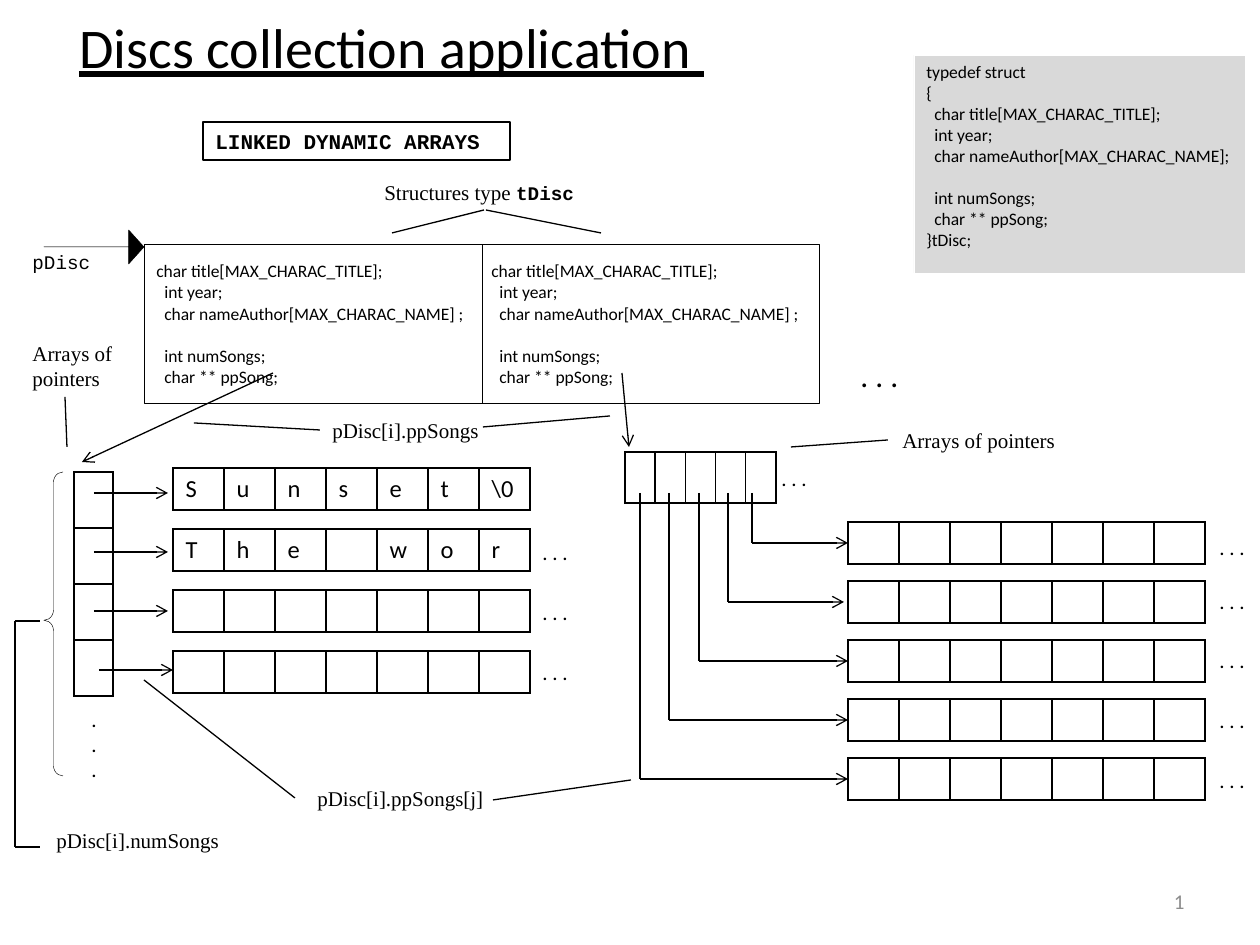
from dataclasses import dataclass

from lxml import etree
from pptx import Presentation
from pptx.dml.color import RGBColor
from pptx.enum.shapes import MSO_CONNECTOR, MSO_SHAPE
from pptx.enum.text import MSO_ANCHOR, PP_ALIGN
from pptx.oxml.ns import qn
from pptx.util import Pt

PX = 914400 // 126
STRAIGHT = MSO_CONNECTOR.STRAIGHT
RECT, ARROW, BRACE = MSO_SHAPE.RECTANGLE, MSO_SHAPE.RIGHT_ARROW, MSO_SHAPE.LEFT_BRACE
TOP, MIDDLE = MSO_ANCHOR.TOP, MSO_ANCHOR.MIDDLE
LEFT, RIGHT = PP_ALIGN.LEFT, PP_ALIGN.RIGHT


@dataclass(frozen=True)
class Theme:
    ink: str = "000000"
    paper: str = "FFFFFF"
    panel: str = "D9D9D9"
    muted: str = "8C8C8C"
    sans: str = "Calibri"
    serif: str = "Times New Roman"
    mono: str = "Courier New"
    title: int = 32
    dots: int = 18
    cell: int = 14
    label: int = 12
    code: int = 11
    struct: int = 10
    hair: float = 0.25
    thin: float = 0.75
    grid: float = 1


T = Theme()
FIELDS = ["char title[MAX_CHARAC_TITLE];", "int year;",
          "char nameAuthor[MAX_CHARAC_NAME]", "int numSongs;", "char ** ppSong;"]


def rgb(value):
    return RGBColor.from_string(value)


def style(font, face, size, color=T.ink, bold=None):
    font.name, font.size, font.bold = face, Pt(size), bold
    font.color.rgb = rgb(color)


def write(tf, lines, face, size, color=T.ink, bold=None, align=LEFT, anchor=TOP):
    tf.word_wrap, tf.vertical_anchor = True, anchor
    for i, line in enumerate(lines):
        p = tf.add_paragraph() if i else tf.paragraphs[0]
        p.text, p.alignment = line, align
        style(p.font, face, size, color, bold)


def label(s, x, y, w, h, lines, face=T.serif, size=T.label, **options):
    tf = s.shapes.add_textbox(x * PX, y * PX, w * PX, h * PX).text_frame
    write(tf, lines, face, size, **options)
    return tf


def dots(s, x, y):
    label(s, x, y, 53, 38, [". . ."], T.sans)


def shape(s, kind, x, y, w, h, fill=None, line=T.ink, width=T.hair):
    sp = s.shapes.add_shape(kind, x * PX, y * PX, w * PX, h * PX)
    sp.shadow.inherit = False
    if fill:
        sp.fill.solid()
        sp.fill.fore_color.rgb = rgb(fill)
    else:
        sp.fill.background()
    sp.line.color.rgb, sp.line.width = rgb(line), Pt(width)
    return sp


def line(s, x1, y1, x2, y2, arrow=False):
    c = s.shapes.add_connector(STRAIGHT, x1 * PX, y1 * PX, x2 * PX, y2 * PX)
    c.line.color.rgb, c.line.width = rgb(T.ink), Pt(T.thin)
    if arrow:
        etree.SubElement(c.line._get_or_add_ln(), qn("a:tailEnd"), type="arrow")
    etree.SubElement(c._element.spPr, qn("a:effectLst"))


def border(cell):
    tcPr = cell._tc.get_or_add_tcPr()
    for i, side in enumerate(("lnL", "lnR", "lnT", "lnB")):
        ln = etree.Element(qn("a:" + side), w=str(Pt(T.grid)))
        fill = etree.SubElement(ln, qn("a:solidFill"))
        etree.SubElement(fill, qn("a:srgbClr"), val=T.ink)
        tcPr.insert(i, ln)


def grid(s, x, y, rows, cols, w, h, letters=""):
    table = s.shapes.add_table(rows, cols, x * PX, y * PX, cols * w * PX, rows * h * PX).table
    for col in table.columns:
        col.width = w * PX
    for row in table.rows:
        row.height = h * PX
    for i, cell in enumerate(table.iter_cells()):
        cell.fill.solid()
        cell.fill.fore_color.rgb = rgb(T.paper)
        cell.margin_top = cell.margin_bottom = 0
        cell.vertical_anchor = MIDDLE
        p = cell.text_frame.paragraphs[0]
        if i < len(letters) and letters[i].strip():
            p.text = letters[i]
        style(p.font, T.sans, T.cell)
        border(cell)


def char_array(s, x, y, letters=""):
    grid(s, x, y, 1, 7, 51, 42, letters)


def struct_box(s, x, y, w, h, lines, fill, edge, anchor, indented):
    sp = shape(s, RECT, x, y, w, h, fill, edge)
    tf = sp.text_frame
    tf.margin_right = 0
    write(tf, lines, T.sans, T.struct, anchor=anchor)
    for p in tf.paragraphs:
        if p.text in indented:
            p._p.get_or_add_pPr().set("marL", str(8 * PX))
        if p.text == "int numSongs;":
            p.space_before = Pt(T.struct * 1.2)


def heading(s, x, y):
    tf = label(s, x, y, 1134, 80, ["Discs collection application "], T.sans, T.title)
    tf.paragraphs[0].font.underline = True
    box = shape(s, RECT, x + 136, y + 116, 307, 38, width=T.thin)
    write(box.text_frame, ["LINKED DYNAMIC ARRAYS"], T.mono, T.label, bold=True)


def type_definition(s, x, y):
    fields = [f + ";" if f.endswith("NAME]") else f for f in FIELDS]
    lines = ["typedef struct", "{", *fields, "}tDisc;"]
    struct_box(s, x, y, 331, 218, lines, T.panel, T.paper, TOP, fields)


def disc_array(s, x, y):
    fields = [f + " ;" if f.endswith("NAME]") else f for f in FIELDS]
    for dx, w in ((335, 340), (0, 338)):
        struct_box(s, x + dx, y, w, 159, fields, T.paper, T.ink, MIDDLE, fields[1:])
    pointer = shape(s, ARROW, x - 100, y - 14, 100, 34, T.ink)
    pointer.adjustments[0], pointer.adjustments[1] = 0, 0.449
    label(s, x - 124, y, 95, 37, ["pDisc"], T.mono, T.code)
    p = label(s, x + 228, y - 71, 229, 38, [""]).paragraphs[0]
    for text, face, size, bold in (("Structures type ", T.serif, T.label, None),
                                   ("tDisc", T.mono, T.code, True)):
        r = p.add_run()
        r.text = text
        style(r.font, face, size, bold=bold)
    line(s, x + 340, y - 34, x + 248, y - 11)
    line(s, x + 342, y - 34, x + 457, y - 11)
    label(s, x + 704, y + 106, 89, 50, [". . ."], T.sans, T.dots)


def first_disc_songs(s, x, y):
    grid(s, x, y, 4, 1, 39, 56)
    for i, title in enumerate((["S", "u", "n", "s", "e", "t", "\\0"], "The wor", "", "")):
        char_array(s, x + 99, y - 4 + 61 * i, title)
        shift = 5 if i == 3 else 0
        line(s, x + 20 + shift, y + 21 + 59 * i, x + 94 + shift, y + 21 + 59 * i, True)
        if i:
            dots(s, x + 456, y + 1 + 60 * i)
    label(s, x + 5, y + 228, 45, 90, ["."] * 3, T.sans)
    brace = shape(s, BRACE, x - 30, y, 19, 304)
    brace.adjustments[0], brace.adjustments[1] = 0.541, 0.488
    line(s, x - 59, y + 375, x - 59, y + 149)
    for dy in (149, 375):
        line(s, x - 59, y + dy, x - 34, y + dy)
    label(s, x - 30, y + 349, 212, 38, ["pDisc[i].numSongs"])


def second_disc_songs(s, x, y):
    grid(s, x, y, 1, 5, 29, 51)
    dots(s, x + 144, y + 7)
    starts, dot_tops = (127, 103, 74, 44, 15), (76, 130, 189, 249, 309)
    for i, (dx, dot_top) in enumerate(zip(starts, dot_tops)):
        char_array(s, x + 223, y + 70 + 59 * i)
        turn = y + 91 + 59 * i
        line(s, x + dx, y + 41, x + dx, turn)
        line(s, x + dx, turn, x + (219 if i == 1 else 223), turn, True)
        dots(s, x + 582, y + dot_top)


def annotations(s, x, y):
    label(s, x + 20, y + 334, 123, 63, ["Arrays of", "pointers"])
    label(s, x + 890, y + 421, 197, 38, ["Arrays of pointers"])
    label(s, x + 320, y + 411, 176, 38, ["pDisc[i].ppSongs"])
    label(s, x + 305, y + 779, 212, 38, ["pDisc[i].ppSongs[j]"])
    for x1, y1, x2, y2, arrow in (
            (273, 373, 82, 462, True), (622, 373, 629, 447, True),
            (888, 440, 791, 447, False), (67, 447, 65, 397, False),
            (320, 430, 194, 423, False), (610, 416, 483, 427, False),
            (295, 798, 144, 680, False), (631, 780, 493, 800, False)):
        line(s, x + x1, y + y1, x + x2, y + y2, arrow)


def page_number(s, x, y):
    label(s, x, y, 294, 50, ["1"], T.sans, color=T.muted, align=RIGHT, anchor=MIDDLE)


prs = Presentation()
prs.slide_width, prs.slide_height = 1260 * PX, 945 * PX
s = prs.slides.add_slide(prs.slide_layouts[6])
disc_array(s, 144, 244)
heading(s, 67, 6)
type_definition(s, 914, 55)
first_disc_songs(s, 74, 472)
second_disc_songs(s, 625, 452)
annotations(s, 0, 0)
page_number(s, 903, 876)
prs.save("out.pptx")
